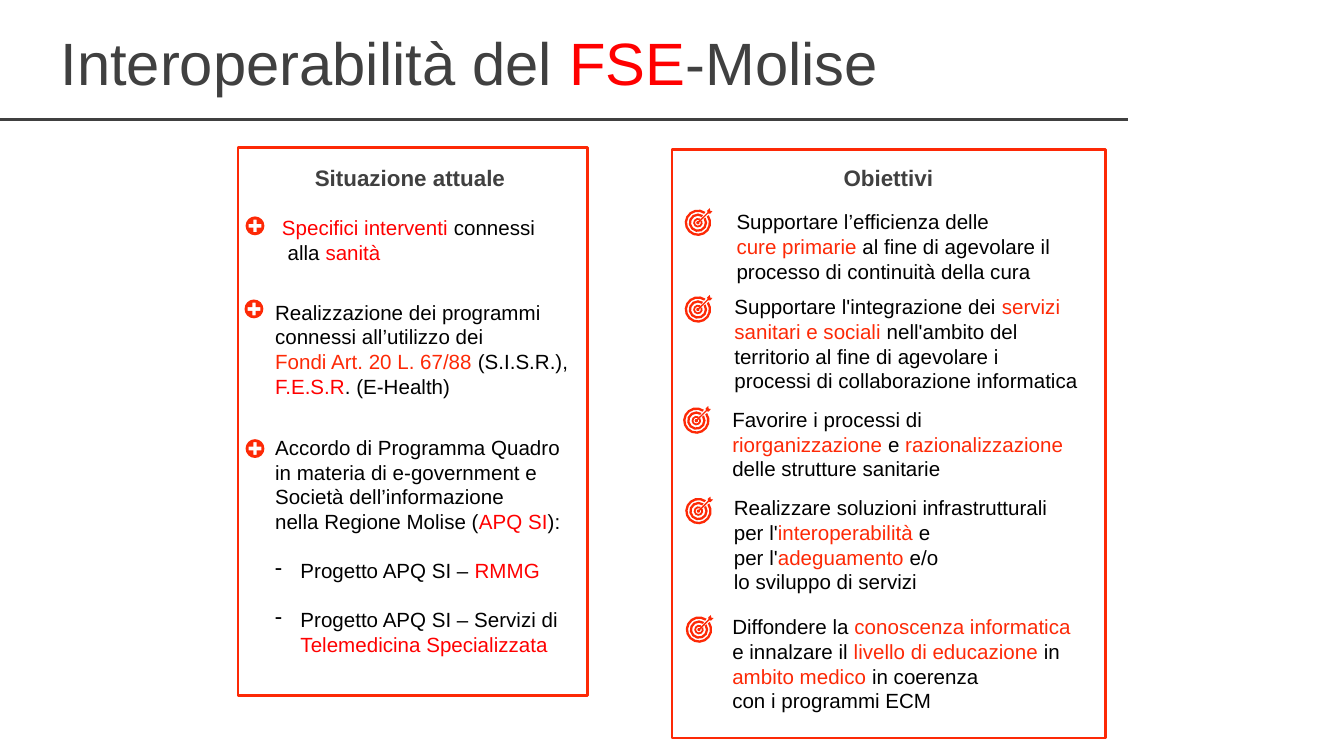
import math

from lxml import etree
from pptx import Presentation
from pptx import util as u
from pptx.dml.color import RGBColor
from pptx.enum import shapes, text
from pptx.oxml.ns import qn

ORANGE = RGBColor(0xFD, 0x29, 0x06)
RED = RGBColor(0xFF, 0x00, 0x00)
BLACK = RGBColor(0x00, 0x00, 0x00)
GREY = RGBColor(0x40, 0x40, 0x40)

presentation = Presentation()
presentation.slide_width, presentation.slide_height = u.Cm(25.4), u.Cm(14.29)
slide = presentation.slides.add_slide(presentation.slide_layouts[5])


def write_runs(paragraph, runs, size):
    """Write (text, colour) runs, turning each newline into a line break."""
    paragraph.font.size, paragraph.font.name = u.Pt(size), "Arial"
    for content, colour in runs:
        for number, line in enumerate(content.split("\n")):
            if number:
                paragraph.add_line_break()
            if line:
                run = paragraph.add_run()
                run.text = line
                run.font.color.rgb = colour


def arc(radius, start, end, steps):
    """Points on an arc around the origin, angles in degrees."""
    angles = [math.radians(start + (end - start) * i / steps) for i in range(steps + 1)]
    return [(radius * math.cos(a), -radius * math.sin(a)) for a in angles]


# Title and rule
title = slide.shapes.title
title.left, title.top, title.width, title.height = u.Cm(0.89), u.Cm(0.36), u.Cm(20.4), u.Cm(1.6)
title.text_frame.vertical_anchor = text.MSO_ANCHOR.MIDDLE
paragraph = title.text_frame.paragraphs[0]
paragraph.alignment = text.PP_ALIGN.LEFT
write_runs(paragraph, [("Interoperabilità del ", GREY), ("FSE", RED), ("-Molise", GREY)], 32)

rule = slide.shapes.add_connector(
    shapes.MSO_CONNECTOR.STRAIGHT, u.Cm(0), u.Cm(2.26), u.Cm(21.31), u.Cm(2.26))
rule.line.color.rgb, rule.line.width = GREY, u.Pt(1.5)
etree.SubElement(rule._element.spPr, qn("a:effectLst"))

# Framed columns with headings: frame left, top, width, height, heading centre
columns = [
    ("Situazione attuale", 4.5, 2.79, 6.6, 10.36, 7.75),
    ("Obiettivi", 12.7, 2.82, 8.2, 11.13, 16.79),
]
for heading, left, top, width, height, centre in columns:
    frame = slide.shapes.add_shape(
        shapes.MSO_SHAPE.RECTANGLE, u.Cm(left), u.Cm(top), u.Cm(width), u.Cm(height))
    frame.shadow.inherit = False
    frame.fill.background()
    frame.line.color.rgb, frame.line.width = ORANGE, u.Pt(1.5)

    label = slide.shapes.add_textbox(u.Cm(centre - 2.2), u.Cm(2.98), u.Cm(4.4), u.Cm(0.75))
    label.text_frame.word_wrap = True
    label.text_frame.vertical_anchor = text.MSO_ANCHOR.MIDDLE
    paragraph = label.text_frame.paragraphs[0]
    paragraph.alignment = text.PP_ALIGN.CENTER
    paragraph.font.bold = True
    write_runs(paragraph, [(heading, GREY)], 12)

# Icon outlines in thousandths of a centimetre around the icon centre
cross = [(-30, -120), (-30, -35), (-120, -35), (-120, 35), (-30, 35), (-30, 120),
         (30, 120), (30, 35), (120, 35), (120, -35), (30, -35), (30, -120)]
plus_icon = [arc(178, 0, 360, 16), cross]
target_icon = [arc(outer, 45 + gap, 405 - gap, steps) + arc(inner, 405 - gap, 45 + gap, steps)
               for outer, inner, gap, steps in [(250, 205, 10, 14), (175, 130, 11, 10),
                                                (90, 55, 18, 8)]]
# Dart with a rounded foot on the bullseye
target_icon.append(arc(32, 70, 380, 6) + [
    (195, -175), (230, -170), (275, -218), (232, -225), (225, -275), (175, -230), (180, -195)])

# Items: icon, icon centre x and y, text left, top, width, height, paragraphs of runs
items = [
    (plus_icon, 4.82, 4.27, 5.08, 3.94, 6.3, 1.19, [
        [("Specifici interventi ", RED), ("connessi\n alla ", BLACK), ("sanità", RED)]]),
    (plus_icon, 4.8, 5.84, 4.95, 5.54, 6.3, 2.13, [
        [("Realizzazione dei programmi\nconnessi all’utilizzo dei \n", BLACK),
         ("Fondi Art. 20 L. 67/88 ", ORANGE), ("(S.I.S.R.), ", BLACK),
         ("F.E.S.R", RED), (". (E-Health)", BLACK)]]),
    (plus_icon, 4.82, 8.48, 4.95, 8.1, 6.3, 4.5, [
        [("Accordo di Programma Quadro\nin materia di e-government e\n"
          "Società dell’informazione\nnella Regione Molise (", BLACK),
         ("APQ SI", RED), ("):", BLACK)],
        [("Progetto APQ SI – ", BLACK), ("RMMG", RED)],
        [("Progetto APQ SI – Servizi di\n", BLACK), ("Telemedicina Specializzata", RED)]]),
    (target_icon, 13.19, 4.21, 13.67, 3.83, 6.78, 1.68, [
        [("Supportare l’efficienza delle\n", BLACK), ("cure primarie", ORANGE),
         (" al fine di agevolare il \nprocesso di continuità della cura", BLACK)]]),
    (target_icon, 13.19, 5.85, 13.63, 5.44, 7.57, 2.13, [
        [("Supportare l'integrazione dei ", BLACK), ("servizi\nsanitari e sociali", ORANGE),
         (" nell'ambito del\nterritorio al fine di agevolare i \n"
          "processi di collaborazione informatica", BLACK)]]),
    (target_icon, 13.16, 7.95, 13.59, 7.57, 7.32, 2.13, [
        [("Favorire i processi di\n", BLACK), ("riorganizzazione", ORANGE), (" e ", BLACK),
         ("razionalizzazione\n", ORANGE), ("delle strutture sanitarie", BLACK)]]),
    (target_icon, 13.2, 9.66, 13.62, 9.24, 6.78, 2.13, [
        [("Realizzare soluzioni infrastrutturali\nper l'", BLACK),
         ("interoperabilità", ORANGE), (" e\nper l'", BLACK), ("adeguamento", ORANGE),
         (" e/o\nlo sviluppo di servizi", BLACK)]]),
    (target_icon, 13.21, 11.9, 13.59, 11.49, 7.11, 2.13, [
        [("Diffondere la ", BLACK), ("conoscenza informatica ", ORANGE),
         ("e innalzare il ", BLACK), ("livello di educazione ", ORANGE), ("in\n", BLACK),
         ("ambito medico ", ORANGE), ("in coerenza\ncon i programmi ECM", BLACK)]]),
]
for icon, icon_x, icon_y, left, top, width, height, paragraphs in items:
    # Icon as one outline with holes
    builder = slide.shapes.build_freeform(*icon[0][0], scale=u.Cm(0.001))
    builder.add_line_segments(icon[0][1:])
    for contour in icon[1:]:
        builder.move_to(*contour[0])
        builder.add_line_segments(contour[1:])
    shape = builder.convert_to_shape(u.Cm(icon_x), u.Cm(icon_y))
    shape.shadow.inherit = False
    shape.fill.solid()
    shape.fill.fore_color.rgb = ORANGE
    shape.line.fill.background()

    # Text, with dashes on the sub-items
    box = slide.shapes.add_textbox(u.Cm(left), u.Cm(top), u.Cm(width), u.Cm(height))
    box.text_frame.word_wrap = True
    for number, runs in enumerate(paragraphs):
        paragraph = box.text_frame.add_paragraph() if number else box.text_frame.paragraphs[0]
        write_runs(paragraph, runs, 11)
        if number:
            paragraph.space_before = u.Pt(13)
            properties = paragraph._p.get_or_add_pPr()
            properties.set("marL", str(u.Cm(0.48)))
            properties.set("indent", str(-u.Cm(0.48)))
            bullet = etree.Element(qn("a:buChar"), char="-")
            properties.find(qn("a:spcBef")).addnext(bullet)

presentation.save("out.pptx")
